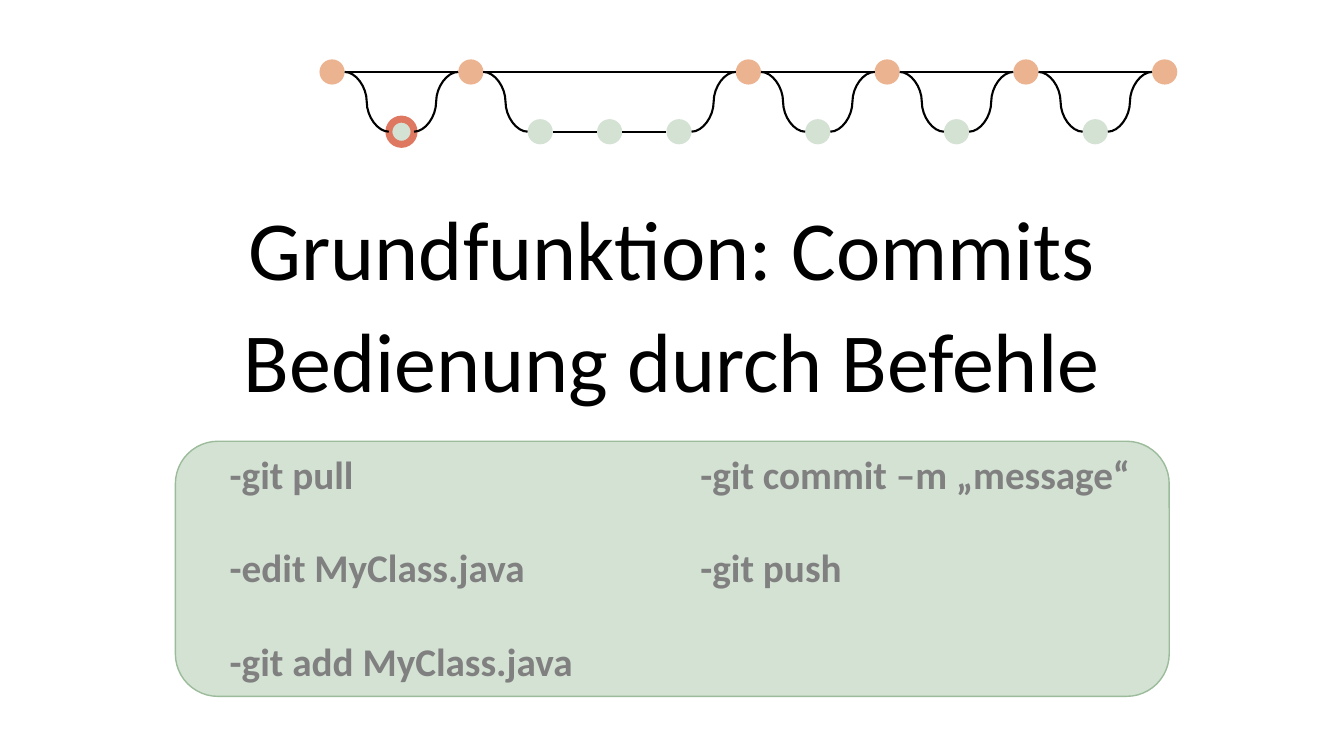
import pptx
import pptx.dml.color
import pptx.enum.shapes
import pptx.enum.text
import pptx.oxml.ns
import pptx.util
import lxml.etree

Pt = pptx.util.Pt
RGBColor = pptx.dml.color.RGBColor
Shape = pptx.enum.shapes.MSO_SHAPE
Connector = pptx.enum.shapes.MSO_CONNECTOR
Align = pptx.enum.text.PP_ALIGN

BLACK = RGBColor(0x00, 0x00, 0x00)
GRAY = RGBColor(0x80, 0x80, 0x80)
ORANGE = RGBColor(0xEC, 0xB3, 0x90)
RED = RGBColor(0xDF, 0x78, 0x61)
PALE_GREEN = RGBColor(0xD4, 0xE2, 0xD4)
GREEN = RGBColor(0x9B, 0xBB, 0x9B)

FIRST_X = 237.2
COLUMN_STEP = 49.56
MAIN_Y = 51.4
BRANCH_Y = 94.1
RADIUS = 9
MAIN_COLUMNS = [0, 2, 6, 8, 10, 12]


def write_text(shape, text, size, color, bold=False, align=Align.LEFT, gap=0):
    frame = shape.text_frame
    frame.word_wrap = True
    frame.auto_size = pptx.enum.text.MSO_AUTO_SIZE.NONE
    frame.vertical_anchor = pptx.enum.text.MSO_ANCHOR.TOP
    frame.text = text
    for paragraph in frame.paragraphs:
        paragraph.alignment = align
        paragraph.space_before = Pt(0)
        paragraph.space_after = Pt(gap)
        paragraph.font.name = "Calibri"
        paragraph.font.size = Pt(size)
        paragraph.font.bold = bold
        paragraph.font.color.rgb = color


def connect(kind, begin_x, begin_y, end_x, end_y):
    line = slide.shapes.add_connector(kind, Pt(begin_x), Pt(begin_y), Pt(end_x), Pt(end_y))
    line.line.color.rgb = BLACK
    line.line.width = Pt(1.5)
    properties = line._element.spPr
    lxml.etree.SubElement(properties, pptx.oxml.ns.qn("a:effectLst"))


presentation = pptx.Presentation()
presentation.slide_width = Pt(960)
presentation.slide_height = Pt(540)
slide = presentation.slides.add_slide(presentation.slide_layouts[5])

centers = [FIRST_X + COLUMN_STEP * column for column in range(13)]
for column, center in enumerate(centers):
    on_main = column in MAIN_COLUMNS
    center_y = MAIN_Y if on_main else BRANCH_Y
    commit = slide.shapes.add_shape(
        Shape.FLOWCHART_CONNECTOR,
        Pt(center - RADIUS), Pt(center_y - RADIUS), Pt(2 * RADIUS), Pt(2 * RADIUS))
    commit.shadow.inherit = False
    commit.fill.solid()
    commit.fill.fore_color.rgb = ORANGE if on_main else PALE_GREEN
    if column == 1:
        commit.line.color.rgb = RED
        commit.line.width = Pt(5)
    else:
        commit.line.fill.background()

for start, end in zip(MAIN_COLUMNS, MAIN_COLUMNS[1:]):
    left = centers[start] + RADIUS
    right = centers[end] - RADIUS
    connect(Connector.STRAIGHT, left, MAIN_Y, right, MAIN_Y)
    connect(Connector.CURVE, left, MAIN_Y, centers[start + 1] - RADIUS, BRANCH_Y)
    connect(Connector.CURVE, right, MAIN_Y, centers[end - 1] + RADIUS, BRANCH_Y)
    for column in range(start + 1, end - 1):
        connect(Connector.STRAIGHT, centers[column] + RADIUS, BRANCH_Y,
                centers[column + 1] - RADIUS, BRANCH_Y)

title = slide.shapes.title
title.left, title.top, title.width, title.height = Pt(32.4), Pt(136.8), Pt(895), Pt(80)
write_text(title, "Grundfunktion: Commits", size=60, color=BLACK, align=Align.CENTER)

subtitle = slide.shapes.add_textbox(Pt(32.4), Pt(216.8), Pt(895), Pt(80))
write_text(subtitle, "Bedienung durch Befehle", size=60, color=BLACK, align=Align.CENTER)

panel = slide.shapes.add_shape(
    Shape.ROUNDED_RECTANGLE, Pt(125.3), Pt(315.2), Pt(709.9), Pt(182.2))
panel.shadow.inherit = False
panel.fill.solid()
panel.fill.fore_color.rgb = PALE_GREEN
panel.line.color.rgb = GREEN
panel.line.width = Pt(1)

command_columns = [
    (157, 211, "-git pull\n-edit MyClass.java\n-git add MyClass.java"),
    (493.2, 109, "-git commit –m „message“\n-git push"),
]
for left, height, commands in command_columns:
    box = slide.shapes.add_textbox(Pt(left), Pt(318.2), Pt(323.3), Pt(height))
    write_text(box, commands, size=28, color=GRAY, bold=True, gap=33)

presentation.save("out.pptx")
